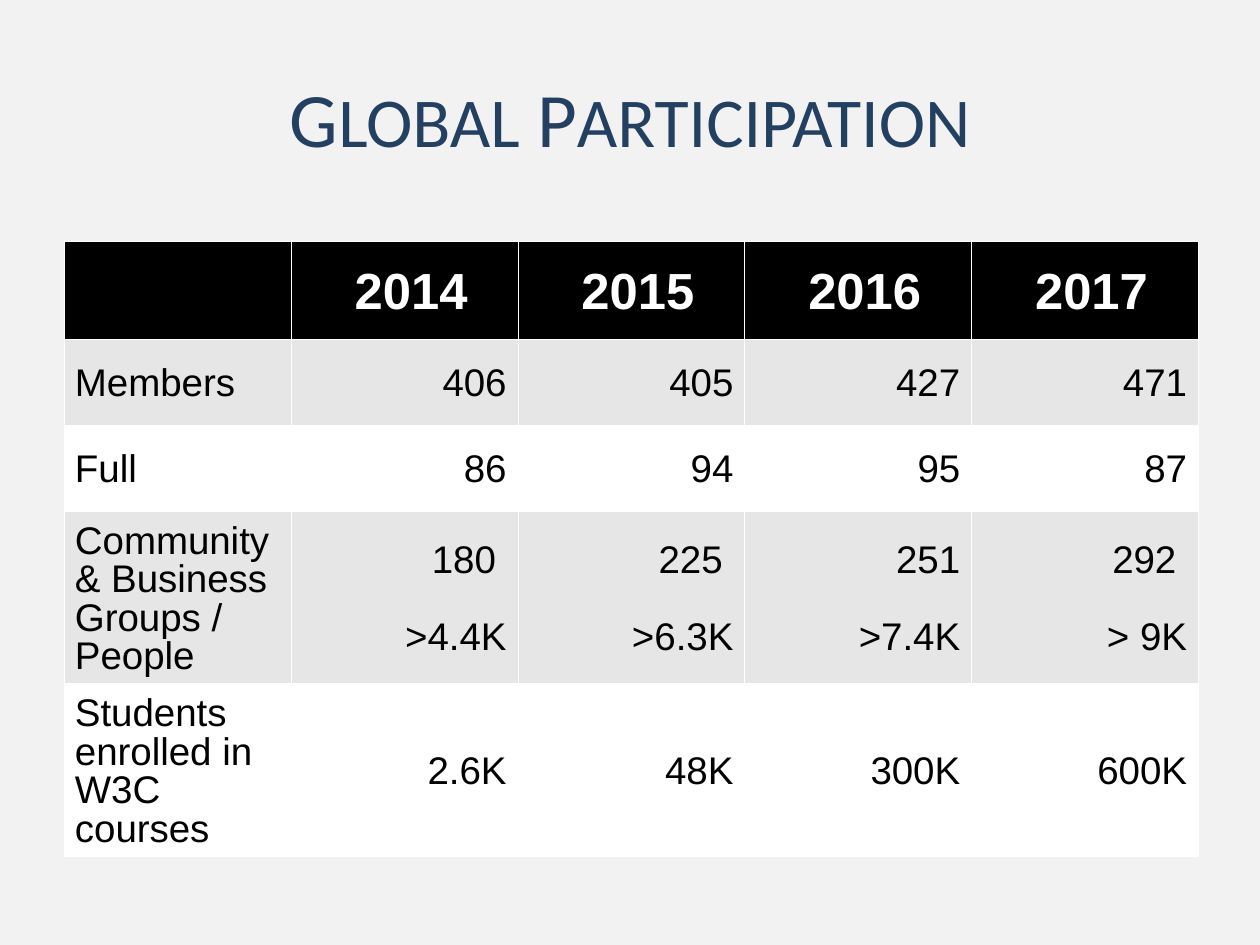
from dataclasses import dataclass

from lxml.etree import SubElement
from pptx import Presentation
from pptx.dml.color import RGBColor
from pptx.enum.text import MSO_ANCHOR, MSO_AUTO_SIZE, PP_ALIGN
from pptx.oxml.ns import qn
from pptx.util import Emu, Pt


@dataclass
class Style:
    size: int
    ink: str
    bold: bool
    top: int  # upper cell margin in px


@dataclass
class Row:
    height: int
    fill: str
    cells: list[str]
    style: Style


HEAD = Style(29, "FFFFFF", True, 14)
BODY = Style(22, "000000", False, 13)
GRAY, WHITE = "E6E6E6", "FFFFFF"

ROWS = [
    Row(98, "000000", ["", " 2014", " 2015", " 2016", " 2017"], HEAD),
    Row(86, GRAY, ["Members", "406", "405", "427", "471"], BODY),
    Row(86, WHITE, ["Full", "86", "94", "95", "87"], BODY),
    Row(172, GRAY, ["Community & Business Groups / People", "180 \n>4.4K",
                    "225 \n>6.3K", "251\n>7.4K", "292 \n> 9K"], BODY),
    Row(171, WHITE, ["Students enrolled in W3C courses",
                     "2.6K", "48K", "300K", "600K"], BODY),
]
TITLE = [("G", 44), ("LOBAL", 40), (" P", 44), ("ARTICIPATION", 40)]


def px(n: int) -> Emu:
    return Emu(round(n * 914400 / 126))


def color(code: str) -> RGBColor:
    return RGBColor.from_string(code)


def edge(cell) -> None:
    """Give a cell hairline white borders, placed ahead of its fill."""
    props = cell._tc.get_or_add_tcPr()
    for i, side in enumerate(("lnL", "lnR", "lnT", "lnB")):
        line = SubElement(props, qn(f"a:{side}"), w="762")
        fill = SubElement(line, qn("a:solidFill"))
        SubElement(fill, qn("a:srgbClr"), val=WHITE)
        props.insert(i, line)


def write(cell, text: str, style: Style, align: PP_ALIGN) -> None:
    cell.text_frame.text = text
    cell.vertical_anchor = MSO_ANCHOR.MIDDLE
    cell.margin_left = cell.margin_right = px(11)
    cell.margin_top, cell.margin_bottom = px(style.top), px(6)
    for i, para in enumerate(cell.text_frame.paragraphs):
        para.alignment = align
        para.line_spacing = 0.89
        if i:
            para.space_before = Pt(22)
        font = para.font
        font.name, font.size, font.bold = "Arial", Pt(style.size), style.bold
        font.color.rgb = color(style.ink)
        for run in para.runs:
            run.font.name, run.font.size = "Arial", Pt(style.size)
            run.font.bold = style.bold
            run.font.color.rgb = color(style.ink)


def draw_title(slide) -> None:
    title = slide.shapes.title
    title.left, title.top = px(63), px(38)
    title.width, title.height = px(1134), px(157)
    frame = title.text_frame
    frame.auto_size = MSO_AUTO_SIZE.NONE
    frame.vertical_anchor = MSO_ANCHOR.MIDDLE
    frame.margin_left = frame.margin_right = px(13)
    frame.margin_top = frame.margin_bottom = px(13)
    para = frame.paragraphs[0]
    para.alignment = PP_ALIGN.CENTER
    for text, size in TITLE:
        run = para.add_run()
        run.text = text
        run.font.name, run.font.size = "Calibri", Pt(size)
        run.font.color.rgb = color("244061")


def draw_table(slide) -> None:
    high = sum(row.height for row in ROWS)
    count = len(ROWS[0].cells)
    table = slide.shapes.add_table(
        len(ROWS), count, px(64), px(241), px(1134), px(high)).table
    table.horz_banding = False
    for col in table.columns:
        col.width = px(1134) // count
    for r, row in enumerate(ROWS):
        table.rows[r].height = px(row.height)
        for c, text in enumerate(row.cells):
            cell = table.cell(r, c)
            cell.fill.solid()
            cell.fill.fore_color.rgb = color(row.fill)
            edge(cell)
            if row.style is HEAD:
                align = PP_ALIGN.CENTER
            else:
                align = PP_ALIGN.RIGHT if c else PP_ALIGN.LEFT
            write(cell, text, row.style, align)


def main() -> None:
    deck = Presentation()
    deck.slide_width, deck.slide_height = px(1260), px(945)
    slide = deck.slides.add_slide(deck.slide_layouts[5])  # Title Only
    slide.background.fill.solid()
    slide.background.fill.fore_color.rgb = color("F2F2F2")
    # Table first, title on top
    draw_table(slide)
    draw_title(slide)
    deck.save("out.pptx")


if __name__ == "__main__":
    main()
